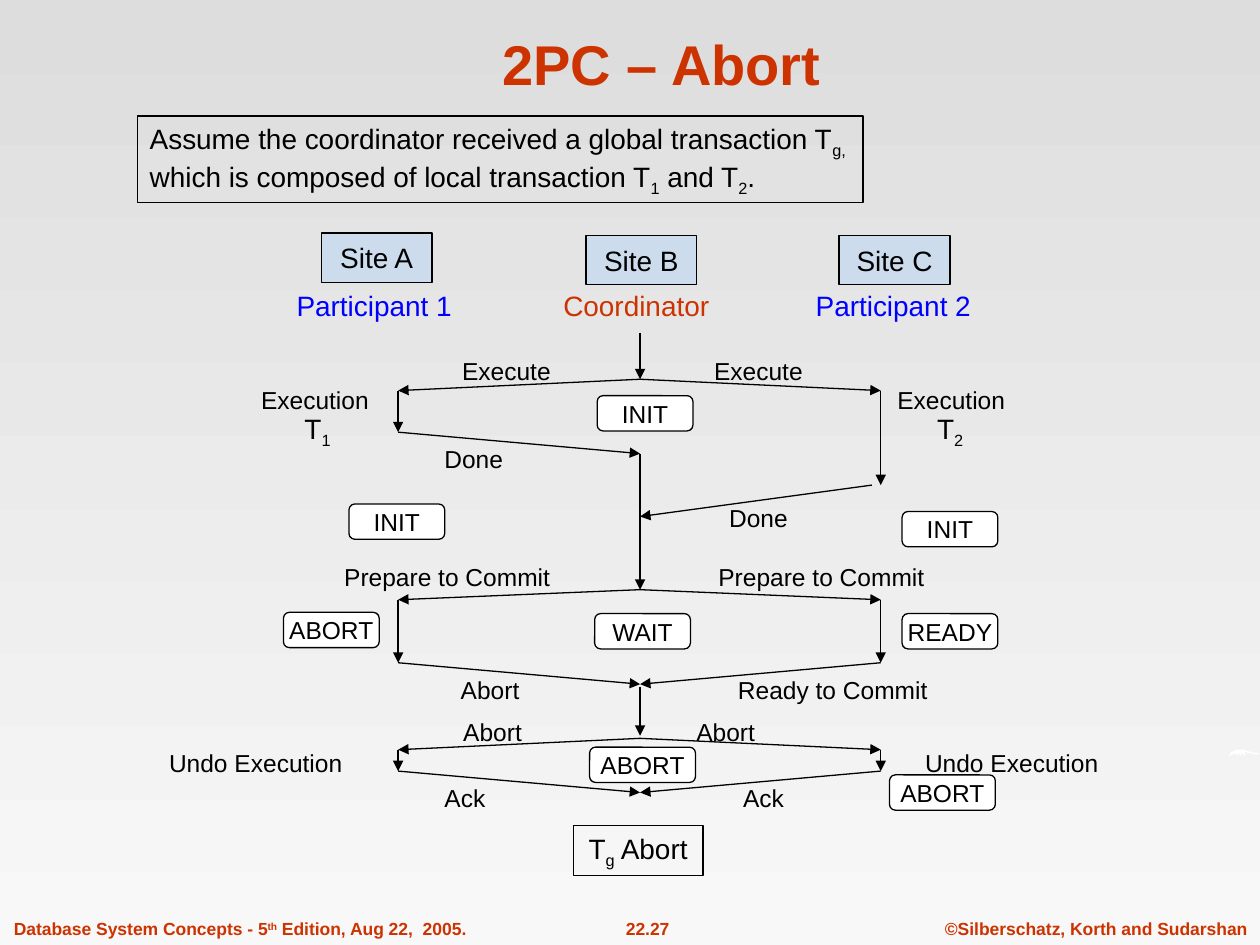
from lxml import etree
from pptx import Presentation
from pptx import util as u
from pptx.dml import color
from pptx.enum import shapes, text
from pptx.oxml import ns

COLORS = {"accent": "CC3300", "participant": "0000FF", "ink": "000000", "site": "99CCFF",
          "state": "FFFFFF", "bg_top": "DDDDDD", "bg_bottom": "F8F8F8"}
SUB, SUPER = -25000, 30000
LANES = (-1.92, 1.91)
CENTER, LEFT, RIGHT = text.PP_ALIGN.CENTER, text.PP_ALIGN.LEFT, text.PP_ALIGN.RIGHT


def rgb(name):
    """Return the palette colour as an RGBColor."""
    return color.RGBColor.from_string(COLORS[name])


def write(host, lines, size, ink="ink", bold=False, align=CENTER, inset=0):
    """Write lines of (text, baseline) runs into a shape or text box."""
    frame = host.text_frame
    frame.word_wrap = False
    frame.vertical_anchor = text.MSO_ANCHOR.MIDDLE
    frame.margin_left = frame.margin_right = u.Inches(inset)
    frame.margin_top = frame.margin_bottom = 0
    paragraph = frame.paragraphs[0]
    paragraph.alignment = align
    for number, line in enumerate(lines):
        if number:
            paragraph.add_line_break()
        for words, baseline in line:
            run = paragraph.add_run()
            run.text = words
            run.font.name, run.font.size, run.font.bold = "Arial", u.Pt(size), bold
            run.font.color.rgb = rgb(ink)
            if baseline:
                run.font._element.set("baseline", str(baseline))


def label(slide, x, y, runs, size=14, ink="ink", width=2, **style):
    """Place one line of text centred on a point."""
    box = slide.shapes.add_textbox(u.Inches(x - width / 2), u.Inches(y - 0.15),
                                   u.Inches(width), u.Inches(0.3))
    write(box, [runs], size, ink, **style)


def panel(slide, box, lines, size=16, fill=None, alpha=None, rounded=False, **style):
    """Draw an outlined box with text."""
    kind = shapes.MSO_SHAPE.ROUNDED_RECTANGLE if rounded else shapes.MSO_SHAPE.RECTANGLE
    frame = slide.shapes.add_shape(kind, *map(u.Inches, box))
    frame.shadow.inherit = False
    frame.line.color.rgb, frame.line.width = rgb("ink"), u.Pt(0.75)
    if fill:
        frame.fill.solid()
        frame.fill.fore_color.rgb = rgb(fill)
    else:
        frame.fill.background()
    if alpha:
        tint = frame.fill._xPr.find(".//" + ns.qn("a:srgbClr"))
        etree.SubElement(tint, ns.qn("a:alpha")).set("val", str(alpha * 1000))
    write(frame, lines, size, **style)


def arrow(slide, x1, y1, x2, y2):
    """Draw a thin arrow pointing to its second end."""
    link = slide.shapes.add_connector(shapes.MSO_CONNECTOR.STRAIGHT,
                                      *map(u.Inches, (x1, y1, x2, y2)))
    link.line.color.rgb, link.line.width = rgb("ink"), u.Pt(0.75)
    etree.SubElement(link.line._get_or_add_ln(), ns.qn("a:tailEnd")).set("type", "triangle")
    etree.SubElement(link._element.spPr, ns.qn("a:effectLst"))


def message_round(slide, hub, top, drop, work, reply, captions, states, reply_gap=0):
    """Draw one exchange between the coordinator and both participants."""
    for words, dx, dy in captions:
        runs = [("T", 0), (words[1], SUB)] if words in ("T1", "T2") else [(words, 0)]
        label(slide, hub + dx, top + dy, runs, 16 if len(runs) > 1 else 14)
    for lane, busy, fall, gap in zip(LANES, work, reply, (0, reply_gap)):
        x, start = hub + lane, top + drop
        arrow(slide, hub, top, x, start)
        arrow(slide, x, start, x, start + busy)
        arrow(slide, x - gap, start + busy, hub, start + busy + fall)
    for words, dx, dy, width in states:
        panel(slide, (hub + dx - width / 2, top + dy - 0.14, width, 0.28), [[(words, 0)]],
              14, "state", rounded=True)


def sites(slide, left, top):
    """Draw the three sites with the role of each below."""
    columns = [("Site A", "Participant 1", "participant", 0, 0, 2.97),
               ("Site B", "Coordinator", "accent", 2.1, 0.02, 5.05),
               ("Site C", "Participant 2", "participant", 4.11, 0.02, 7.09)]
    for site, role, ink, dx, dy, role_x in columns:
        label(slide, left + role_x - 2.55, top + 0.57, [(role, 0)], 16, ink)
        panel(slide, (left + dx, top + dy, 0.88, 0.39), [[(site, 0)]], fill="site", alpha=30)


def timeline(slide, hub, top):
    """Draw the protocol from top to bottom along the coordinator's line."""
    for start, end in ((0, 0.37), (0.96, 2.04), (2.81, 3.2)):
        arrow(slide, hub, top + start, hub, top + end)
    message_round(
        slide, hub, top + 0.37, 0.09, (0.33, 0.75), (0.17, 0.25),
        [("Execute", -1.06, -0.07), ("Execute", 0.94, -0.07),
         ("Execution", -2.58, 0.16), ("Execution", 2.47, 0.16),
         ("T1", -2.56, 0.41), ("T2", 2.46, 0.41), ("Done", -1.32, 0.63), ("Done", 0.94, 1.1)],
        [("INIT", 0.04, 0.27, 0.76), ("INIT", -1.93, 1.13, 0.76), ("INIT", 2.46, 1.19, 0.76)],
        reply_gap=0.07)
    message_round(
        slide, hub, top + 2.04, 0.08, (0.5, 0.5), (0.17, 0.17),
        [("Prepare to Commit", -1.53, -0.1), ("Prepare to Commit", 1.44, -0.1),
         ("Abort", -1.19, 0.79), ("Ready to Commit", 1.53, 0.79)],
        [("WAIT", 0.02, 0.33, 0.76), ("ABORT", -2.45, 0.32, 0.76), ("READY", 2.46, 0.33, 0.76)])
    message_round(
        slide, hub, top + 3.22, 0.09, (0.17, 0.17), (0.17, 0.17),
        [("Abort", -1.17, -0.05), ("Abort", 0.68, -0.05), ("Undo Execution", -3.05, 0.19),
         ("Undo Execution", 2.95, 0.19), ("Ack", -1.39, 0.47), ("Ack", 0.98, 0.47)],
        [("ABORT", 0.02, 0.21, 0.84), ("ABORT", 2.4, 0.43, 0.84)])
    panel(slide, (hub - 0.53, top + 3.91, 1.03, 0.4), [[("T", 0), ("g", SUB), (" Abort", 0)]])


def footer(slide, left, right, y):
    """Write the book, page number and copyright line."""
    style = {"size": 10, "ink": "accent", "bold": True}
    book = [("Database System Concepts - 5", 0), ("th", SUPER), (" Edition, Aug 22,  2005.", 0)]
    label(slide, left + 2, y, book, width=4, align=LEFT, **style)
    label(slide, 5.14, y, [("22.27", 0)], width=1, **style)
    label(slide, right - 1.5, y, [("©Silberschatz, Korth and Sudarshan", 0)], width=3,
          align=RIGHT, **style)


def edge_stroke(slide, left, top):
    """Draw the small white brush stroke at the right edge."""
    outline = [(0, 0.06), (0.02, 0.02), (0.07, 0), (0.12, 0), (0.18, 0.02), (0.25, 0.03),
               (0.22, 0.04), (0.13, 0.02), (0.13, 0.05), (0.1, 0.02), (0.1, 0.05),
               (0.07, 0.02), (0.08, 0.05), (0.05, 0.03), (0.01, 0.05)]
    points = [(u.Inches(left + dx), u.Inches(top + dy)) for dx, dy in outline]
    builder = slide.shapes.build_freeform(*points[0])
    builder.add_line_segments(points[1:], close=True)
    stroke = builder.convert_to_shape()
    stroke.shadow.inherit = False
    stroke.fill.solid()
    stroke.fill.fore_color.rgb = rgb("state")
    stroke.line.fill.background()


def background(slide):
    """Fill the slide with a vertical grey gradient."""
    fill = slide.background.fill
    fill.gradient()
    fill.gradient_angle = 270
    for stop, name, position in zip(fill.gradient_stops, ("bg_top", "bg_bottom"), (0, 1)):
        stop.color.rgb = rgb(name)
        stop.position = position


def main():
    """Build and save the slide."""
    deck = Presentation()
    deck.slide_width, deck.slide_height = u.Inches(10), u.Inches(7.5)
    slide = deck.slides.add_slide(deck.slide_layouts[6])
    background(slide)
    footer(slide, 0.11, 9.9, 7.37)
    edge_stroke(slide, 9.75, 5.95)
    label(slide, 5.25, 0.5, [("2PC – Abort", 0)], 32, "accent", width=8.83, bold=True)
    premise = [[("Assume the coordinator received a global transaction T", 0), ("g,", SUB)],
               [("which is composed of local transaction T", 0), ("1", SUB), (" and T", 0),
                ("2", SUB), (".", 0)]]
    panel(slide, (1.09, 0.92, 5.76, 0.69), premise, align=LEFT, inset=0.1)
    sites(slide, 2.55, 1.85)
    timeline(slide, 5.08, 2.64)
    deck.save("out.pptx")


if __name__ == "__main__":
    main()
